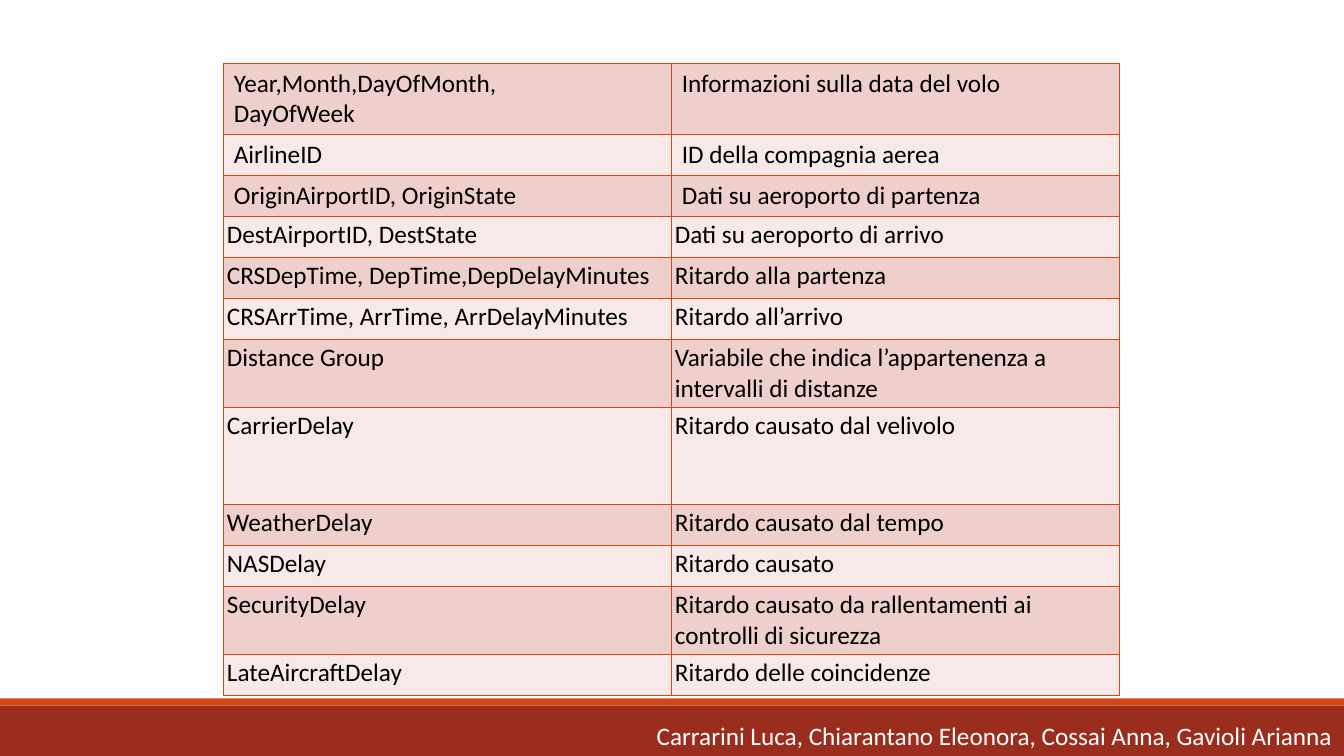
from dataclasses import dataclass

from lxml.etree import SubElement
from pptx import Presentation
from pptx.dml.color import RGBColor
from pptx.enum.shapes import MSO_SHAPE as Preset
from pptx.enum.text import MSO_ANCHOR as Anchor, MSO_AUTO_SIZE as AutoSize, PP_ALIGN as Align
from pptx.oxml.ns import qn
from pptx.util import Cm, Pt

ORANGE, BRICK = "D34817", "9B2D1F"
BANDS = ("EFCFCC", "F7E9E8")
LINE_WIDTH = Pt(1)
SINGLE, DOUBLE, TALL = 1.03, 1.72, 2.45
TIGHT_MARGIN = Cm(0.08)
AUTHORS = "Carrarini Luca, Chiarantano Eleonora, Cossai Anna, Gavioli Arianna"


@dataclass
class Variable:
    names: str
    meaning: str
    height: float = SINGLE
    tight: bool = True


@dataclass
class Band:
    top: float
    height: float
    color: str


VARIABLES = [
    Variable("Year,Month,DayOfMonth,\nDayOfWeek", "Informazioni sulla data del volo", 1.8, False),
    Variable("AirlineID", "ID della compagnia aerea", tight=False),
    Variable("OriginAirportID, OriginState", "Dati su aeroporto di partenza", tight=False),
    Variable("DestAirportID, DestState", "Dati su aeroporto di arrivo"),
    Variable("CRSDepTime, DepTime,DepDelayMinutes", "Ritardo alla partenza"),
    Variable("CRSArrTime, ArrTime, ArrDelayMinutes", "Ritardo all’arrivo"),
    Variable("Distance Group", "Variabile che indica l’appartenenza a intervalli di distanze", DOUBLE),
    Variable("CarrierDelay", "Ritardo causato dal velivolo", TALL),
    Variable("WeatherDelay", "Ritardo causato dal tempo"),
    Variable("NASDelay", "Ritardo causato"),
    Variable("SecurityDelay", "Ritardo causato da rallentamenti ai controlli di sicurezza", DOUBLE),
    Variable("LateAircraftDelay", "Ritardo delle coincidenze"),
]
FOOTER_BANDS = [Band(17.78, 1.27, BRICK), Band(17.6, 0.18, ORANGE)]


def rgb(color: str) -> RGBColor:
    return RGBColor.from_string(color)


def write(frame, text: str, color: str, align: Align) -> None:
    frame.text = text
    for paragraph in frame.paragraphs:
        paragraph.alignment = align
        for name, value in {"size": Pt(18), "name": "Calibri", "bold": False}.items():
            setattr(paragraph.font, name, value)
        paragraph.font.color.rgb = rgb(color)


def add_borders(cell, color: str) -> None:
    properties = cell._tc.get_or_add_tcPr()
    for position, side in enumerate(("lnL", "lnR", "lnT", "lnB")):
        line = SubElement(properties, qn(f"a:{side}"), w=str(LINE_WIDTH))
        fill = SubElement(line, qn("a:solidFill"))
        SubElement(fill, qn("a:srgbClr"), val=color)
        properties.insert(position, line)


def add_band(slide, band: Band, width: int) -> None:
    shape = slide.shapes.add_shape(Preset.RECTANGLE, 0, Cm(band.top), width, Cm(band.height))
    shape.shadow.inherit = False
    shape.fill.solid()
    shape.fill.fore_color.rgb = rgb(band.color)
    shape.line.fill.background()


def add_variables(slide) -> None:
    total = sum(variable.height for variable in VARIABLES)
    table = slide.shapes.add_table(
        len(VARIABLES), 2, Cm(5.64), Cm(1.59), Cm(22.58), Cm(total)
    ).table
    table.first_row = table.horz_banding = False
    for index, variable in enumerate(VARIABLES):
        table.rows[index].height = Cm(variable.height)
        for column, text in enumerate((variable.names, variable.meaning)):
            cell = table.cell(index, column)
            cell.vertical_anchor = Anchor.TOP
            if variable.tight:
                for side in ("left", "right", "top", "bottom"):
                    setattr(cell, f"margin_{side}", TIGHT_MARGIN)
            cell.fill.solid()
            cell.fill.fore_color.rgb = rgb(BANDS[index % 2])
            add_borders(cell, ORANGE)
            justified = index == 0 and column == 0
            write(cell.text_frame, text, "000000", Align.JUSTIFY if justified else Align.LEFT)


def add_authors(slide) -> None:
    frame = slide.shapes.add_textbox(Cm(16.3), Cm(18.03), Cm(17.73), Cm(1.03)).text_frame
    frame.word_wrap = False
    frame.auto_size = AutoSize.SHAPE_TO_FIT_TEXT
    write(frame, AUTHORS, "FFFFFF", Align.LEFT)


def main() -> None:
    deck = Presentation()
    deck.slide_width, deck.slide_height = Cm(33.87), Cm(19.05)
    slide = deck.slides.add_slide(deck.slide_layouts[6])
    for band in FOOTER_BANDS:
        add_band(slide, band, deck.slide_width)
    add_variables(slide)
    add_authors(slide)
    deck.save("out.pptx")


if __name__ == "__main__":
    main()
